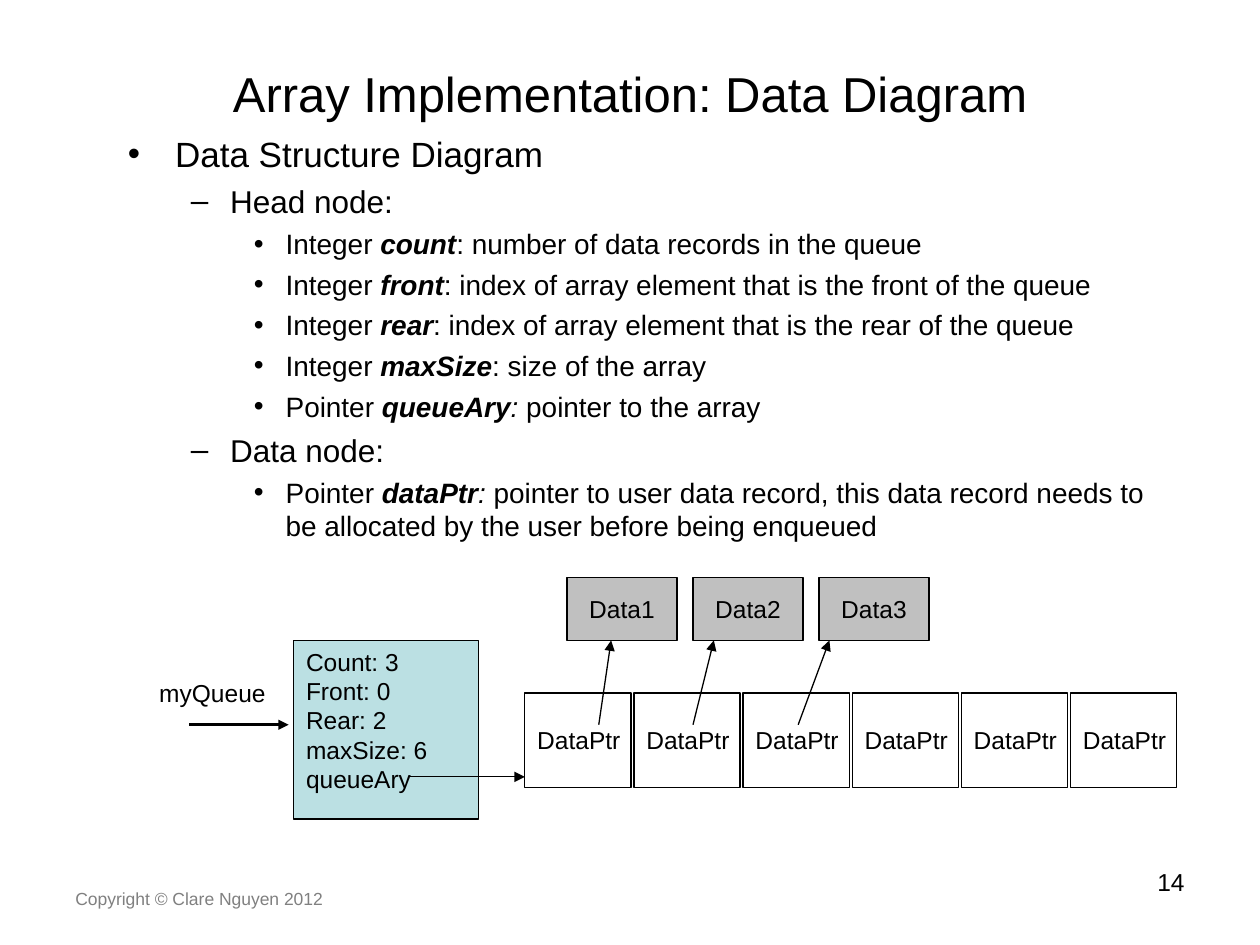
import pptx
import pptx.dml.color
import pptx.enum.shapes
import pptx.enum.text
import pptx.oxml
import pptx.oxml.ns
import pptx.util

Cm, Pt = pptx.util.Cm, pptx.util.Pt
ALIGN = pptx.enum.text.PP_ALIGN
ANCHOR = pptx.enum.text.MSO_ANCHOR

FONT = "Arial"
COLORS = {"ink": "000000", "footer": "808080", "head": "BBE0E3", "data": "C0C0C0"}

TITLE = "Array Implementation: Data Diagram"
COPYRIGHT = "Copyright © Clare Nguyen 2012"
PAGE = "14"
OUTLINE = [
    (0, [("Data Structure Diagram", "")]),
    (1, [("Head node:", "")]),
    (2, [("Integer ", ""), ("count", "bi"), (": number of data records in the queue", "")]),
    (2, [("Integer ", ""), ("front", "bi"),
         (": index of array element that is the front of the queue", "")]),
    (2, [("Integer ", ""), ("rear", "bi"),
         (": index of array element that is the rear of the queue", "")]),
    (2, [("Integer ", ""), ("maxSize", "bi"), (": size of the array", "")]),
    (2, [("Pointer ", ""), ("queueAry", "bi"), (":", "i"), (" pointer to the array", "")]),
    (1, [("Data node:", "")]),
    (2, [("Pointer ", ""), ("dataPtr", "bi"), (": ", "i"),
         ("pointer to user data record, this data record needs to be allocated "
          "by the user before being enqueued", "")]),
]
LEVELS = [
    {"bullet": "•", "size": 20, "before": 5, "left": 0.95, "hang": 0.95},
    {"bullet": "–", "size": 18, "before": 4.5, "left": 2.06, "hang": 0.79},
    {"bullet": "•", "size": 16, "before": 4, "left": 3.18, "hang": 0.64},
]
HEAD_FIELDS = ["Count: 3", "Front: 0", "Rear: 2", "maxSize: 6", "queueAry"]
RECORDS = ["Data1", "Data2", "Data3"]
SLOT, SLOT_COUNT = "DataPtr", 6
ARROWS = [
    ((3.81, 14.61), (5.82, 14.61), 1.5),
    ((8.26, 15.66), (10.58, 15.66), 0.75),
    ((12.07, 14.61), (12.32, 12.91), 0.75),
    ((13.97, 14.61), (14.39, 12.91), 0.75),
    ((16.09, 14.61), (16.72, 12.91), 0.75),
]


def rgb(name):
    return pptx.dml.color.RGBColor.from_string(COLORS[name])


def add_run(paragraph, text, size, color="ink", style=""):
    run = paragraph.add_run()
    run.text = text
    run.font.name, run.font.size = FONT, Pt(size)
    run.font.color.rgb = rgb(color)
    run.font.bold, run.font.italic = "b" in style, "i" in style


def write_lines(frame, lines, size, color="ink", align=ALIGN.LEFT,
                anchor=ANCHOR.TOP, wrap=True):
    frame.word_wrap, frame.vertical_anchor = wrap, anchor
    for index, line in enumerate(lines):
        paragraph = frame.add_paragraph() if index else frame.paragraphs[0]
        paragraph.alignment = align
        add_run(paragraph, line, size, color)


def add_label(slide, box, text, size, **options):
    label = slide.shapes.add_textbox(*map(Cm, box))
    write_lines(label.text_frame, [text], size, **options)


def add_node(slide, box, lines, fill=None, **options):
    node = slide.shapes.add_shape(pptx.enum.shapes.MSO_SHAPE.RECTANGLE, *map(Cm, box))
    node.shadow.inherit = False
    if fill:
        node.fill.solid()
        node.fill.fore_color.rgb = rgb(fill)
    else:
        node.fill.background()
    node.line.color.rgb, node.line.width = rgb("ink"), Pt(0.75)
    write_lines(node.text_frame, lines, 14, **options)


def add_arrow(slide, start, end, width):
    arrow = slide.shapes.add_connector(
        pptx.enum.shapes.MSO_CONNECTOR.STRAIGHT, *map(Cm, start + end))
    arrow.line.color.rgb, arrow.line.width = rgb("ink"), Pt(width)
    properties = arrow.line._get_or_add_ln()
    properties.append(pptx.oxml.parse_xml(
        f'<a:tailEnd {pptx.oxml.ns.nsdecls("a")} type="triangle"/>'))
    arrow._element.spPr.append(pptx.oxml.parse_xml(
        f'<a:effectLst {pptx.oxml.ns.nsdecls("a")}/>'))


def add_outline(slide, box):
    frame = slide.shapes.add_textbox(*map(Cm, box)).text_frame
    frame.word_wrap = True
    for index, (depth, runs) in enumerate(OUTLINE):
        paragraph = frame.add_paragraph() if index else frame.paragraphs[0]
        level = LEVELS[depth]
        properties = paragraph._p.get_or_add_pPr()
        properties.set("marL", str(Cm(level["left"])))
        properties.set("indent", str(-Cm(level["hang"])))
        for element in (f'buFont {{}} typeface="{FONT}"',
                        f'buChar {{}} char="{level["bullet"]}"'):
            properties.append(pptx.oxml.parse_xml(
                f'<a:{element.format(pptx.oxml.ns.nsdecls("a"))}/>'))
        paragraph.level = depth
        if index:
            paragraph.space_before = Pt(level["before"])
        for text, style in runs:
            add_run(paragraph, text, level["size"], style=style)


def main():
    deck = pptx.Presentation()
    deck.slide_width, deck.slide_height = Cm(25.4), Cm(19.05)
    slide = deck.slides.add_slide(deck.slide_layouts[6])

    add_label(slide, (1.27, 17.78, 8.05, 0.69), COPYRIGHT, 10, color="footer")
    add_label(slide, (18.21, 17.35, 5.92, 1.32), PAGE, 14, align=ALIGN.RIGHT)
    add_label(slide, (1.27, 0.76, 22.86, 2.21), TITLE, 28,
              align=ALIGN.CENTER, anchor=ANCHOR.MIDDLE)
    add_outline(slide, (2.33, 2.54, 21.17, 14.4))

    add_node(slide, (5.92, 12.91, 3.73, 3.6), HEAD_FIELDS, fill="head")
    add_label(slide, (2.96, 13.55, 2.82, 0.86), "myQueue", 14)
    for index, record in enumerate(RECORDS):
        add_node(slide, (11.43 + 2.54 * index, 11.64, 2.22, 1.27), [record], fill="data",
                 align=ALIGN.CENTER, anchor=ANCHOR.MIDDLE, wrap=False)
    for start, end, width in ARROWS:
        add_arrow(slide, start, end, width)
    for index in range(SLOT_COUNT):
        add_node(slide, (10.58 + 2.2 * index, 13.97, 2.14, 1.9), [SLOT],
                 anchor=ANCHOR.MIDDLE, wrap=False)

    deck.save("out.pptx")


if __name__ == "__main__":
    main()
